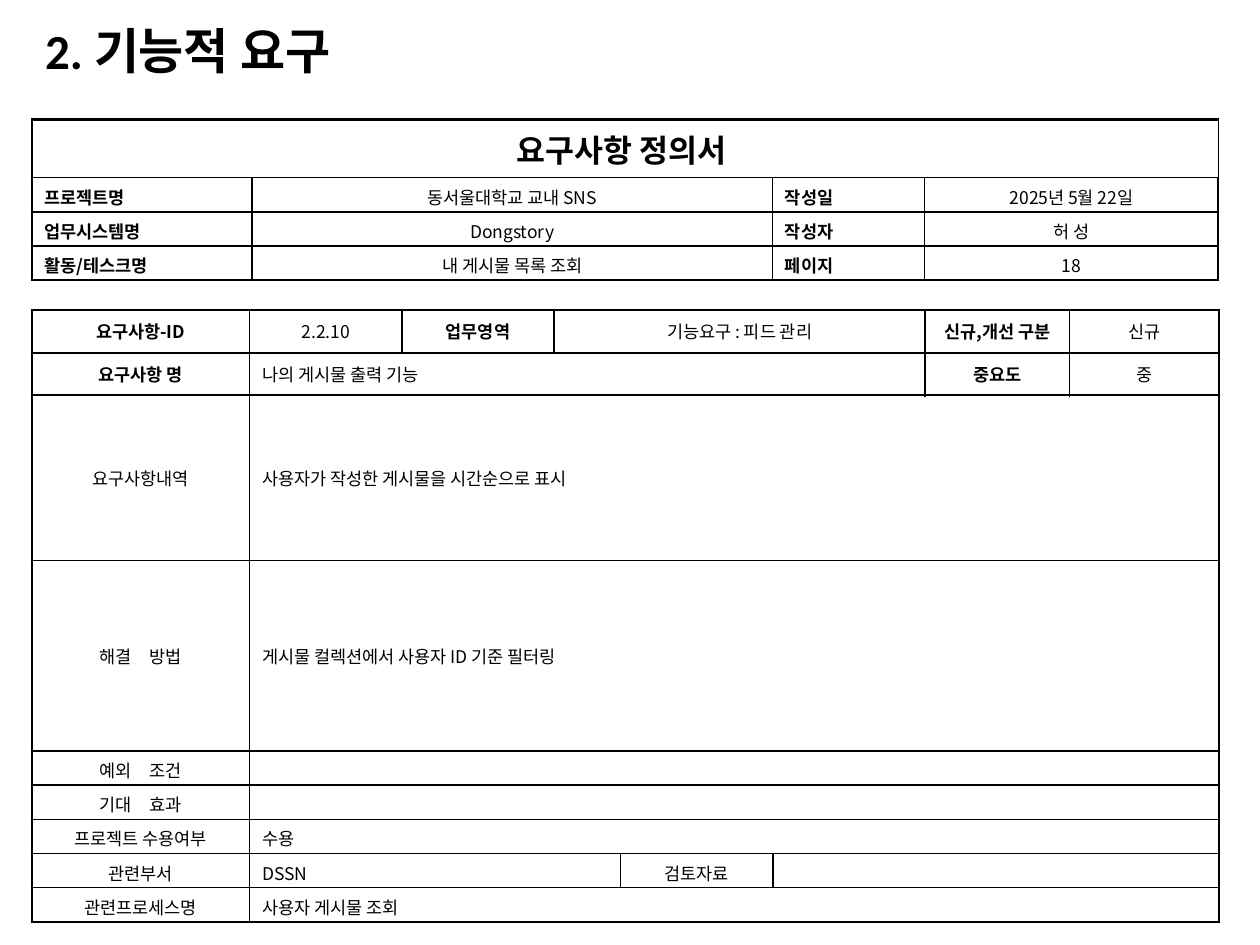
"""Build the functional requirement slide with its two form tables."""
from lxml.etree import SubElement
from pptx import Presentation
from pptx.dml.color import RGBColor
from pptx.enum.text import MSO_ANCHOR as Anchor, PP_ALIGN as Align
from pptx.oxml.ns import qn
from pptx.util import Cm, Pt

SANS = "Noto Sans CJK KR"
LATIN = "Calibri"
BLACK = "000000"
MODES = {"c": Align.CENTER, "l": Align.LEFT, "j": Align.JUSTIFY}


def write(para, text, size, bold, face=SANS):
    run = para.add_run()
    run.text = text
    font = run.font
    font.size, font.bold, font.name = Pt(size), bold, face
    font.color.rgb = RGBColor.from_string(BLACK)
    SubElement(run._r.get_or_add_rPr(), qn("a:ea"), typeface=SANS)


def grid(left, top, cols, rows, cells, heavy, anchor):
    frame = slide.shapes.add_table(len(rows), len(cols), Cm(left), Cm(top), Cm(sum(cols)), Cm(sum(rows)))
    table = frame.table
    table.first_row = table.horz_banding = False
    for col, width in zip(table.columns, cols):
        col.width = Cm(width)
    for row, height in zip(table.rows, rows):
        row.height = Cm(height)
    for r in range(len(rows)):
        for c in range(len(cols)):
            cell = table.cell(r, c)
            edges = {"L": c == 0, "R": c == len(cols) - 1, "T": r in heavy, "B": r + 1 in heavy}
            props = cell._tc.get_or_add_tcPr()
            for side, thick in edges.items():
                line = SubElement(props, qn("a:ln" + side), w=str(Pt(1.5 if thick else 1)))
                fill = SubElement(line, qn("a:solidFill"))
                SubElement(fill, qn("a:srgbClr"), val=BLACK)
            cell.fill.background()
            cell.vertical_anchor = anchor
            end = SubElement(cell.text_frame.paragraphs[0]._p, qn("a:endParaRPr"))
            end.set("sz", "1000")
    for r, line in enumerate(cells):
        c = 0
        for text, span, mode, bold, *rest in line:
            cell = table.cell(r, c)
            if span > 1:
                cell.merge(table.cell(r, c + span - 1))
            if text:
                para = cell.text_frame.paragraphs[0]
                para.alignment = MODES[mode]
                write(para, text, rest[0] if rest else 10, bold, *rest[1:])
            c += span
    return table


deck = Presentation()
deck.slide_width, deck.slide_height = Cm(25.4), Cm(19.05)
slide = deck.slides.add_slide(deck.slide_layouts[6])

box = slide.shapes.add_textbox(Cm(0.66), Cm(0.53), Cm(13.61), Cm(1.12))
box.text_frame.word_wrap = True
box.text_frame.vertical_anchor = Anchor.MIDDLE
head = box.text_frame.paragraphs[0]
head.line_spacing = 0.9
write(head, "2. 기능적 요구", 28, True, LATIN)

form = [
    [("요구사항-ID", 1, "c", True), ("2.2.10", 1, "c", False), ("업무영역", 1, "c", True),
     ("기능요구 : 피드 관리", 3, "c", False), ("신규,개선 구분", 1, "c", True), ("신규", 1, "c", False)],
    [("요구사항 명", 1, "c", True), ("나의 게시물 출력 기능", 5, "l", False),
     ("중요도", 1, "c", True), ("중", 1, "c", False)],
    [("요구사항내역", 1, "c", False), ("사용자가 작성한 게시물을 시간순으로 표시", 7, "l", False, 10, LATIN)],
]
for label, value in [
    ("해결　방법", "게시물 컬렉션에서 사용자 ID 기준 필터링"),
    ("예외　조건", ""),
    ("기대　효과", ""),
    ("프로젝트 수용여부", "수용"),
]:
    form.append([(label, 1, "c", False), (value, 7, "l", False)])
form += [
    [("관련부서", 1, "c", False), ("DSSN", 3, "l", False), ("검토자료", 1, "c", False), ("", 3, "l", False)],
    [("관련프로세스명", 1, "c", False), ("사용자 게시물 조회", 7, "l", False)],
]
grid(0.64, 6.25, [4.39, 3.07, 3.07, 1.34, 3.07, 3.07, 2.91, 3.01],
     [0.86] * 2 + [3.33, 3.84] + [0.69] * 5, form, (0, 1, 2, 9), Anchor.MIDDLE)

info = [[("요구사항 정의서 ", 4, "c", True, 18)]]
for label, value, tag, note in [
    ("프로젝트명", "동서울대학교 교내 SNS", "작성일", "2025년 5월 22일"),
    ("업무시스템명", "Dongstory", "작성자", "허 성"),
    ("활동/테스크명", "내 게시물 목록 조회", "페이지", "18"),
]:
    info.append([(label, 1, "j", True), (value, 1, "c", False), (tag, 1, "j", True), (note, 1, "c", False)])
meta = grid(0.64, 2.41, [4.44, 10.49, 3.07, 5.92], [1.17] + [0.69] * 3, info, (0, 4), Anchor.TOP)
meta.cell(0, 0).vertical_anchor = Anchor.MIDDLE

deck.save("out.pptx")
